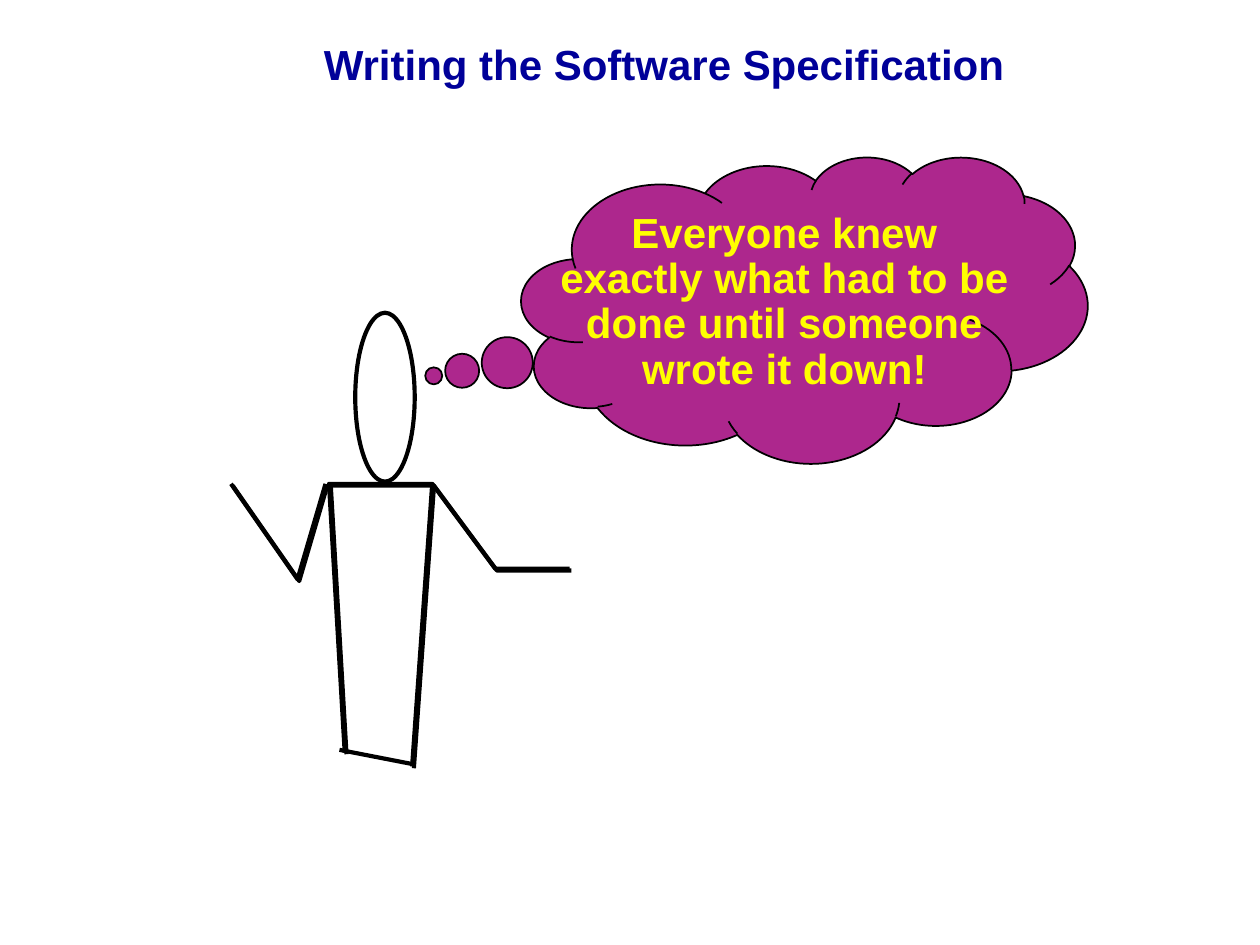
from dataclasses import dataclass

from lxml.etree import SubElement
from pptx import Presentation
from pptx.dml.color import RGBColor
from pptx.enum.shapes import MSO_CONNECTOR, MSO_SHAPE
from pptx.enum.text import MSO_ANCHOR, MSO_AUTO_SIZE, PP_ALIGN
from pptx.oxml.ns import qn
from pptx.shapes.autoshape import Shape
from pptx.shapes.shapetree import GroupShapes, SlideShapes
from pptx.text.text import TextFrame
from pptx.util import Pt

BLACK = RGBColor(0x00, 0x00, 0x00)
WHITE = RGBColor(0xFF, 0xFF, 0xFF)
NAVY = RGBColor(0x00, 0x00, 0x99)
PURPLE = RGBColor(0xAD, 0x27, 0x8D)
YELLOW = RGBColor(0xFF, 0xFF, 0x00)
STROKE = 2.38
NECK = 276.5
SHIFTS = (1, 0)  # each limb is stroked twice, a point apart


@dataclass
class Box:
    x: float
    y: float
    w: float
    h: float

    def lengths(self) -> list[Pt]:
        return [Pt(n) for n in (self.x, self.y, self.w, self.h)]


@dataclass
class Limb:
    points: list[tuple[float, float]]


LIMBS = [
    Limb([(197, 430), (188, NECK), (247, NECK), (235.5, 438)]),
    Limb([(186, NECK), (170, 331), (132, NECK)]),
    Limb([(247, NECK), (283, 325), (325.5, 325)]),
]
WORDS = ["Everyone knew", "exactly what had to be",
         "done until someone", "wrote it down!"]


def write(frame: TextFrame, lines: list[str], color: RGBColor,
          spacing: float = 1.0) -> None:
    for i, line in enumerate(lines):
        para = frame.paragraphs[0] if i == 0 else frame.add_paragraph()
        para.alignment = PP_ALIGN.CENTER
        para.line_spacing = spacing
        run = para.add_run()
        run.text = line
        font = run.font
        font.name, font.size, font.bold = "Arial", Pt(24), True
        font.color.rgb = color


def paint(shape: Shape, fill: RGBColor | None, width: float) -> None:
    """Set fill and black outline; None or zero means absent."""
    shape.shadow.inherit = False
    if fill is None:
        shape.fill.background()
    else:
        shape.fill.solid()
        shape.fill.fore_color.rgb = fill
    if width:
        shape.line.color.rgb = BLACK
        shape.line.width = Pt(width)
    else:
        shape.line.fill.background()


def add_title(shapes: SlideShapes) -> None:
    title = shapes.title
    title.left, title.top, title.width, title.height = Box(
        76.5, 20, 606, 32.5).lengths()
    frame = title.text_frame
    frame.margin_left = frame.margin_right = Pt(5)
    frame.margin_top = frame.margin_bottom = Pt(2)
    frame.auto_size = MSO_AUTO_SIZE.SHAPE_TO_FIT_TEXT
    write(frame, ["Writing the Software Specification"], NAVY)


def add_cloud(shapes: SlideShapes) -> None:
    cloud = shapes.add_shape(MSO_SHAPE.CLOUD_CALLOUT,
                             *Box(298, 89.5, 323.5, 175).lengths())
    cloud.adjustments[0] = -0.655
    cloud.adjustments[1] = 0.216
    paint(cloud, PURPLE, 1)
    frame = cloud.text_frame
    frame.word_wrap = False
    frame.vertical_anchor = MSO_ANCHOR.MIDDLE
    write(frame, WORDS, YELLOW, 0.9)


def add_oval(shapes: GroupShapes, box: Box, fill: RGBColor | None,
             width: float) -> None:
    oval = shapes.add_shape(MSO_SHAPE.OVAL, *box.lengths())
    paint(oval, fill, width)


def add_limb(shapes: GroupShapes, limb: Limb, shift: float) -> None:
    first, *rest = [(Pt(x + shift), Pt(y + shift)) for x, y in limb.points]
    pen = shapes.build_freeform(*first)
    pen.add_line_segments(rest, close=False)
    paint(pen.convert_to_shape(), None, STROKE)


def add_hem(shapes: GroupShapes) -> None:
    hem = shapes.add_connector(MSO_CONNECTOR.STRAIGHT, Pt(194), Pt(428.5),
                               Pt(235), Pt(436.5))
    hem.line.color.rgb = BLACK
    hem.line.width = Pt(STROKE)
    SubElement(hem.line._get_or_add_ln().getparent(), qn("a:effectLst"))


def add_figure(shapes: SlideShapes) -> None:
    group = shapes.add_group_shape().shapes
    add_oval(group, Box(203.5, 180, 32, 94.5), WHITE, 0)
    add_oval(group, Box(203, 178.75, 34, 96.5), None, STROKE)
    for limb in LIMBS:
        for shift in SHIFTS:
            add_limb(group, limb, shift)
    add_hem(group)


def main() -> None:
    deck = Presentation()
    deck.slide_width, deck.slide_height = Pt(720), Pt(540)
    shapes = deck.slides.add_slide(deck.slide_layouts[5]).shapes
    add_cloud(shapes)
    add_title(shapes)
    add_figure(shapes)
    deck.save("out.pptx")


if __name__ == "__main__":
    main()
